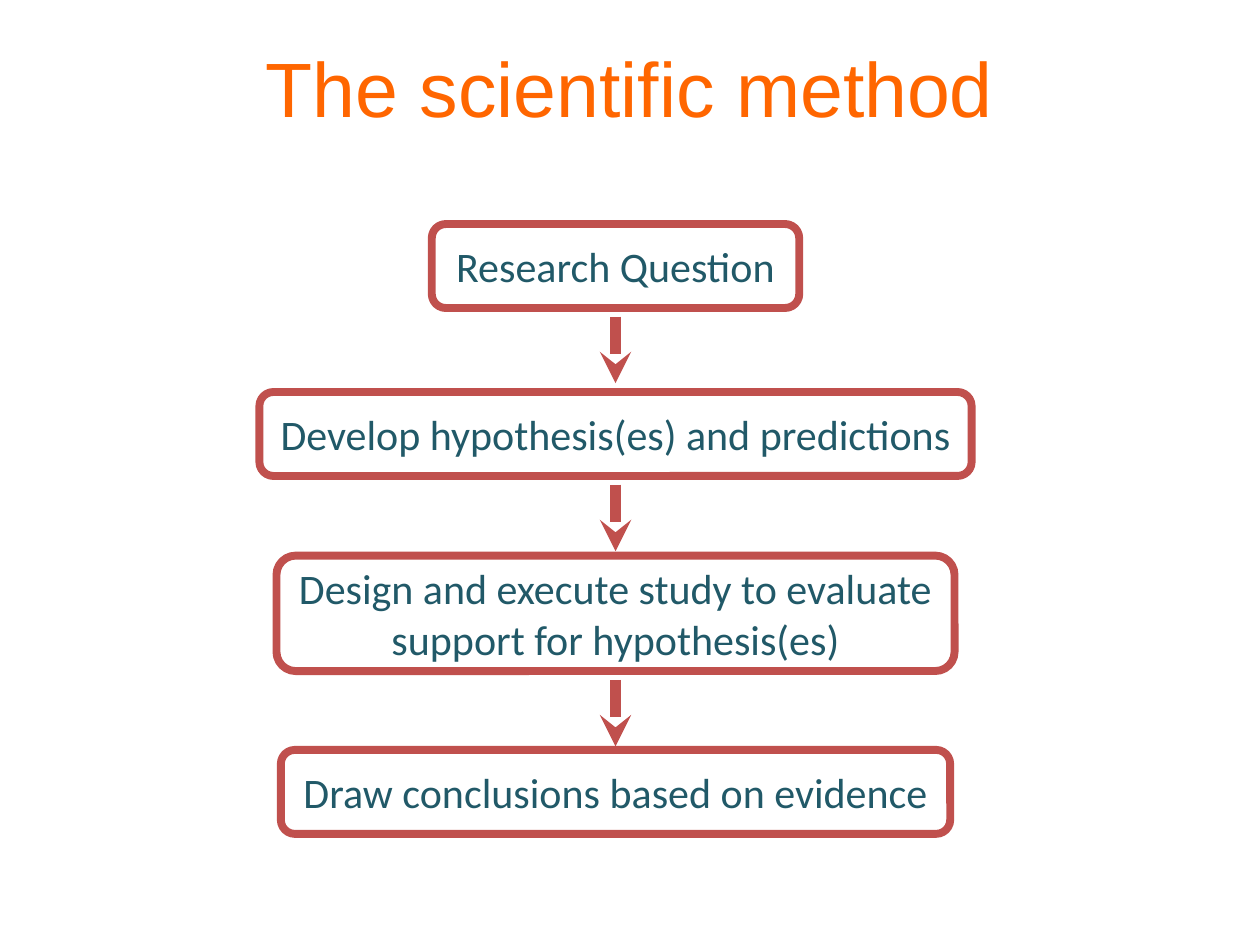
import pptx
import pptx.util
import pptx.dml.color
import pptx.enum.shapes
import pptx.enum.text
import pptx.oxml.ns
from dataclasses import dataclass
from lxml import etree

Pt = pptx.util.Pt
MID = pptx.enum.text.MSO_ANCHOR.MIDDLE


@dataclass(frozen=True)
class Theme:
    title: str = "FF6600"
    ink: str = "215968"
    edge: str = "C0504D"
    head: str = "Arial"
    body: str = "Calibri"
    big: float = 44
    text: float = 24
    rim: float = 4.5
    stem: float = 6


def rgb(code):
    return pptx.dml.color.RGBColor.from_string(code)


def write(frame, text, *, font, size, color, pad=0):
    """Fill a frame with one centred paragraph."""
    frame.word_wrap = True
    frame.vertical_anchor = MID
    frame.margin_left = frame.margin_right = Pt(pad)
    frame.margin_top = frame.margin_bottom = Pt(pad)
    para = frame.paragraphs[0]
    para.alignment = pptx.enum.text.PP_ALIGN.CENTER
    run = para.add_run()
    run.text = text
    run.font.name = font
    run.font.size = Pt(size)
    run.font.color.rgb = rgb(color)


class Deck:
    def __init__(self, theme):
        self.theme = theme
        self.file = pptx.Presentation()
        self.file.slide_width, self.file.slide_height = Pt(720), Pt(540)
        self.slide = self.file.slides.add_slide(self.file.slide_layouts[6])

    def title(self, text, left, top, width, height):
        box = self.slide.shapes.add_textbox(Pt(left), Pt(top), Pt(width), Pt(height))
        look = self.theme
        write(box.text_frame, text, font=look.head, size=look.big,
              color=look.title, pad=4)

    def step(self, text, mid, top, width, height):
        look = self.theme
        box = self.slide.shapes.add_shape(
            pptx.enum.shapes.MSO_SHAPE.ROUNDED_RECTANGLE,
            Pt(mid - width / 2), Pt(top), Pt(width), Pt(height))
        box.shadow.inherit = False
        box.fill.background()
        box.line.color.rgb = rgb(look.edge)
        box.line.width = Pt(look.rim)
        write(box.text_frame, text, font=look.body, size=look.text, color=look.ink)

    def arrow(self, mid, top, size):
        link = self.slide.shapes.add_connector(
            pptx.enum.shapes.MSO_CONNECTOR.STRAIGHT,
            Pt(mid), Pt(top), Pt(mid), Pt(top + size))
        link.line.color.rgb = rgb(self.theme.edge)
        link.line.width = Pt(self.theme.stem)
        # Arrowhead, and no shadow
        qn = pptx.oxml.ns.qn
        props = link._element.spPr
        etree.SubElement(props.find(qn("a:ln")), qn("a:tailEnd"), type="stealth")
        etree.SubElement(props, qn("a:effectLst"))


# Steps: text, top, width, height
STEPS = [
    ("Research Question", 128, 210, 48),
    ("Develop hypothesis(es) and predictions", 224, 407, 48),
    ("Design and execute study to evaluate support for hypothesis(es)",
     317.5, 387.5, 66),
    ("Draw conclusions based on evidence", 428.5, 382.5, 48),
]
MID_X = 351.75
GAP = 5
REACH = 38


def main():
    deck = Deck(Theme())
    deck.title("The scientific method", 0, 4.5, 720, 90)

    # Boxes down the middle
    for text, top, width, height in STEPS:
        deck.step(text, MID_X, top, width, height)

    # An arrow below every box but the last
    for _, top, _, height in STEPS[:-1]:
        deck.arrow(MID_X, top + height + GAP, REACH)

    deck.file.save("out.pptx")


if __name__ == "__main__":
    main()
